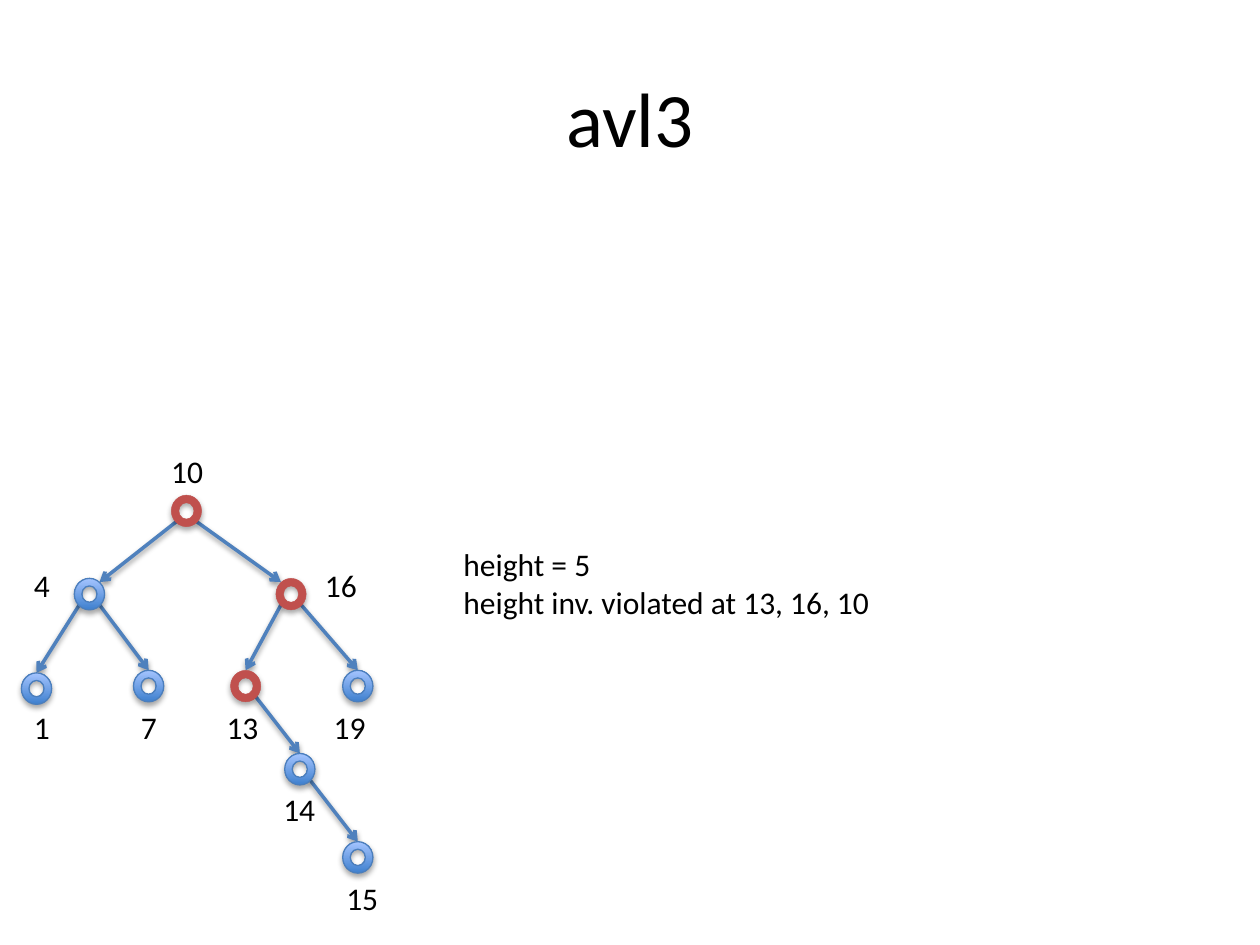
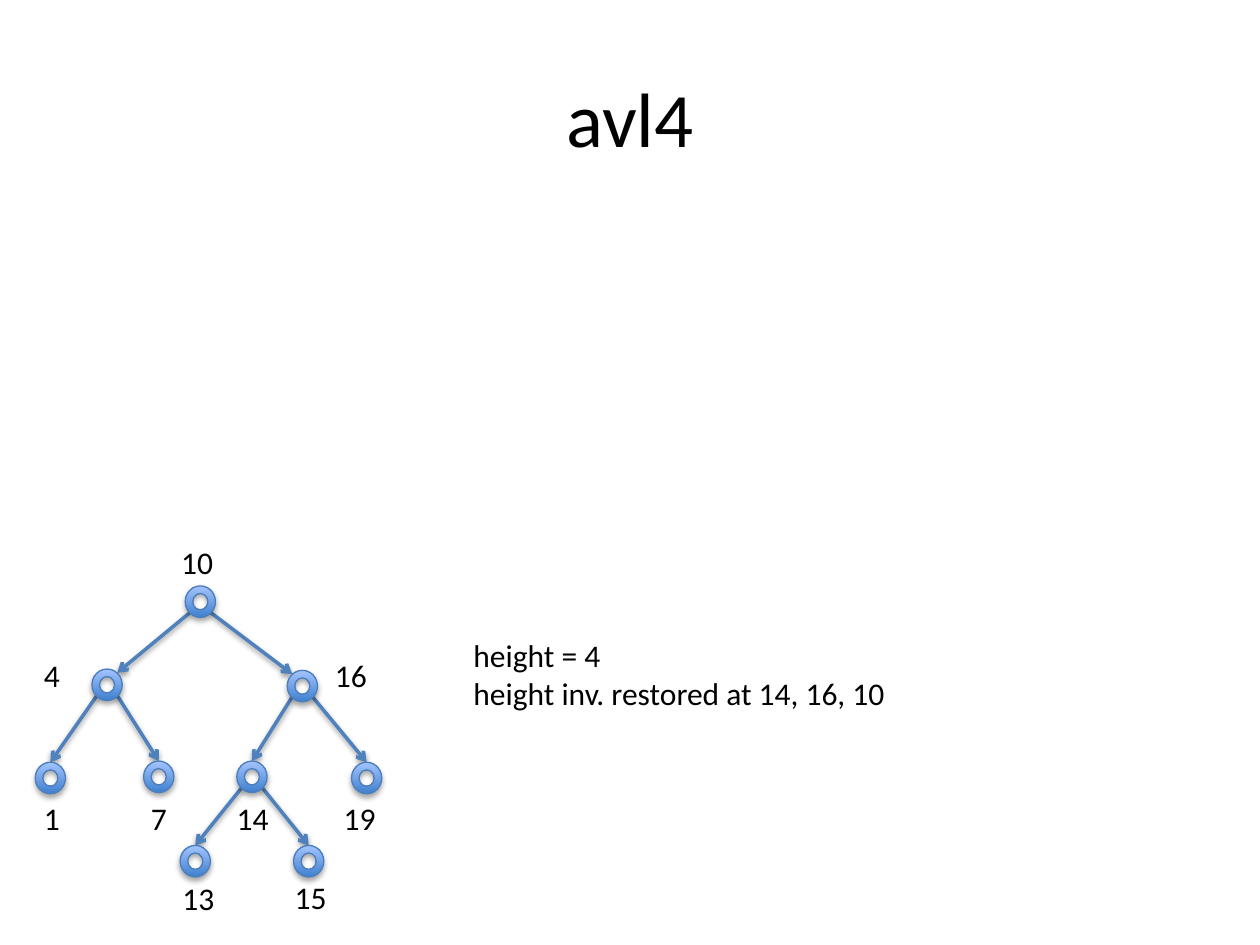
import pptx
import pptx.util
import pptx.dml.color
import pptx.enum.shapes
import pptx.enum.text
import pptx.oxml
import pptx.oxml.ns
from pptx.util import Inches

FONT = "Calibri"
BLACK, RED, EDGE, RIM = "000000", "C0504D", "4F81BD", "4B7EBC"
SHADE = ("3F80CE", "A4C4FF")
WIDE, HIGH = 0.24, 0.25
TAGS = {10: (1.09, 0), 4: (0, 0.9), 16: (2.31, 0.9),
        1: (0, 2.03), 7: (0.85, 2.03), 19: (2.38, 2.03)}
NOTE = (3.41, 0.74)

TREES = [
    dict(title="avl3", box=(0.17, 3.54), wide=3.46,
         note="height = 5\nheight inv. violated at 13, 16, 10",
         nodes={10: (1.19, 0.39), 4: (0.42, 1.05), 16: (2.02, 1.05),
                1: (0, 1.8), 7: (0.89, 1.78), 13: (1.66, 1.78),
                19: (2.55, 1.78), 14: (2.09, 2.44), 15: (2.55, 3.14)},
         tags={13: (1.53, 2.03), 14: (1.98, 2.68), 15: (2.48, 3.39)},
         kids={10: (4, 16), 4: (1, 7), 16: (13, 19), 13: (14,), 14: (15,)},
         bad={10, 16, 13}),
    dict(title="avl4", box=(0.25, 4.26), wide=3.5,
         note="height = 4\nheight inv. restored at 14, 16, 10",
         nodes={10: (1.22, 0.39), 4: (0.48, 1.05), 16: (2.03, 1.06),
                1: (0.03, 1.79), 7: (0.89, 1.78), 14: (1.63, 1.78),
                19: (2.54, 1.79), 13: (1.18, 2.45), 15: (2.08, 2.45)},
         tags={14: (1.53, 2.03), 13: (1.1, 2.67), 15: (1.99, 2.66)},
         kids={10: (4, 16), 4: (1, 7), 16: (14, 19), 14: (13, 15)},
         bad=set()),
]


def paint(color, code):
    color.rgb = pptx.dml.color.RGBColor.from_string(code)


def write(frame, text, size=18, code=BLACK, align="LEFT", anchor="TOP", wrap=False):
    frame.text = text
    frame.word_wrap = wrap
    frame.vertical_anchor = getattr(pptx.enum.text.MSO_ANCHOR, anchor)
    if not wrap:
        frame.auto_size = pptx.enum.text.MSO_AUTO_SIZE.SHAPE_TO_FIT_TEXT
    for para in frame.paragraphs:
        para.alignment = getattr(pptx.enum.text.PP_ALIGN, align)
        para.font.name = FONT
        para.font.size = pptx.util.Pt(size)
        paint(para.font.color, code)


def shade(shape, dist, alpha):
    props = shape._element.spPr
    for old in props.findall(pptx.oxml.ns.qn("a:effectLst")):
        props.remove(old)
    props.append(pptx.oxml.parse_xml(
        f'<a:effectLst {pptx.oxml.ns.nsdecls("a")}>'
        f'<a:outerShdw blurRad="40000" dist="{dist}" dir="5400000" rotWithShape="0">'
        f'<a:srgbClr val="{BLACK}"><a:alpha val="{alpha}"/></a:srgbClr>'
        '</a:outerShdw></a:effectLst>'))


def label(group, text, left, top, wide, high=0.4):
    box = group.shapes.add_textbox(*map(Inches, (left, top, wide, high)))
    write(box.text_frame, text)


def arrow(group, start, end):
    line = group.shapes.add_connector(
        pptx.enum.shapes.MSO_CONNECTOR.STRAIGHT, *map(Inches, start + end))
    paint(line.line.color, EDGE)
    line.line.width = pptx.util.Pt(2)
    stroke = line._element.spPr.find(pptx.oxml.ns.qn("a:ln"))
    stroke.append(pptx.oxml.parse_xml(
        f'<a:tailEnd {pptx.oxml.ns.nsdecls("a")} type="arrow"/>'))
    shade(line, 20000, 38000)


def ring(group, left, top, bad):
    node = group.shapes.add_shape(
        pptx.enum.shapes.MSO_SHAPE.DONUT, *map(Inches, (left, top, WIDE, HIGH)))
    if bad:
        node.fill.solid()
        paint(node.fill.fore_color, RED)
    else:
        node.fill.gradient()
        node.fill.gradient_angle = 90
        for stop, code in zip(node.fill.gradient_stops, SHADE):
            paint(stop.color, code)
    paint(node.line.color, RED if bad else RIM)
    node.line.width = pptx.util.Pt(0.25 if bad else 0.75)
    shade(node, 23000, 35000)


def link(group, spots, root, key, kid):
    left, top = spots[key]
    x, y = spots[kid]
    side = 1 if x > left else -1
    start = (left + WIDE / 2 + side * 0.08, top + 0.21)
    end = (x + WIDE / 2, y)
    if key == root:
        end = (end[0] - side * 0.08, y + 0.03)
    arrow(group, start, end)


def draw(slide, tree):
    x, y = tree["box"]
    group = slide.shapes.add_group_shape()
    spots = {key: (x + dx, y + dy) for key, (dx, dy) in tree["nodes"].items()}
    label(group, tree["note"], x + NOTE[0], y + NOTE[1], tree["wide"], 0.71)
    for key, (dx, dy) in (TAGS | tree["tags"]).items():
        label(group, str(key), x + dx, y + dy, 0.46 if key > 9 else 0.33)
    root = next(iter(spots))
    for key, kids in tree["kids"].items():
        for kid in kids:
            link(group, spots, root, key, kid)
    for key, spot in spots.items():
        ring(group, *spot, key in tree["bad"])


def head(slide, text):
    title = slide.shapes.title
    title.left, title.top, title.width, title.height = map(Inches, (0.5, 0.3, 9, 1.25))
    write(title.text_frame, text, size=44, align="CENTER", anchor="MIDDLE", wrap=True)


def main():
    deck = pptx.Presentation()
    deck.slide_width, deck.slide_height = Inches(10), Inches(7.5)
    for tree in TREES:
        slide = deck.slides.add_slide(deck.slide_layouts[5])
        draw(slide, tree)
        head(slide, tree["title"])
    deck.save("out.pptx")


if __name__ == "__main__":
    main()
